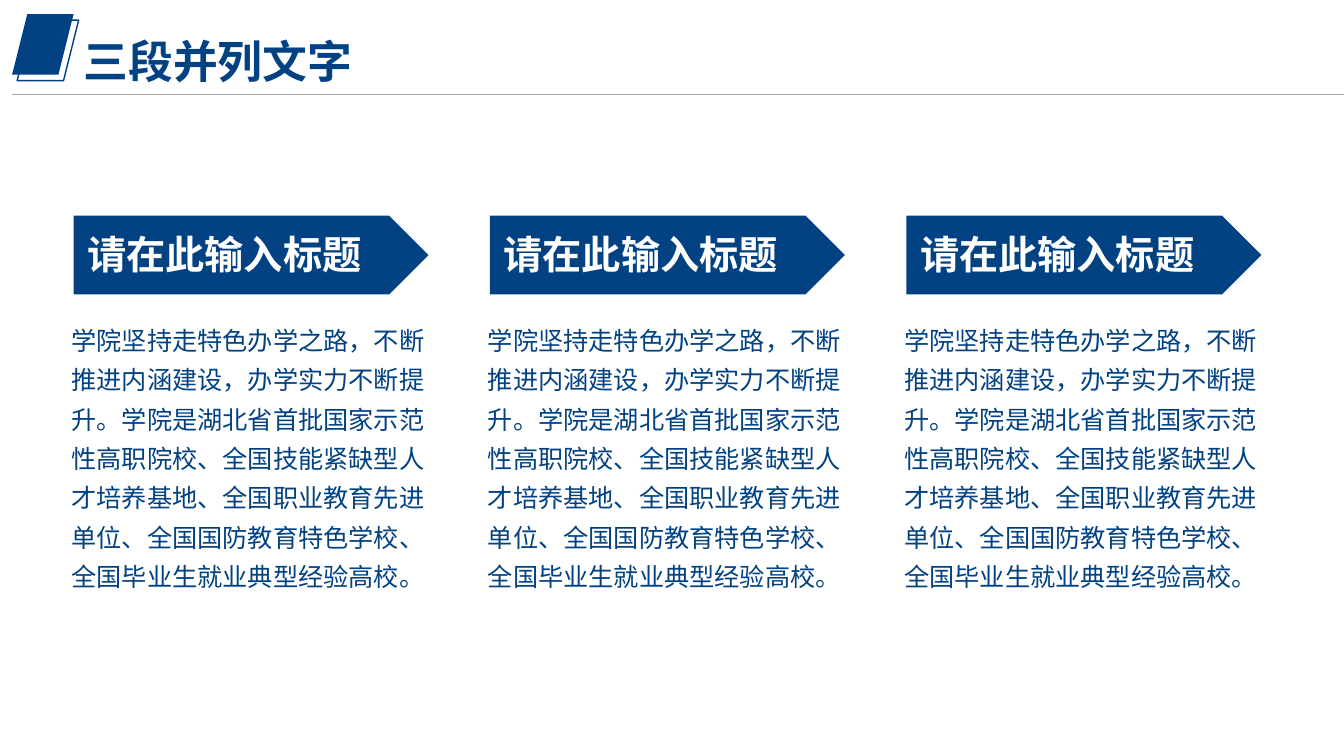
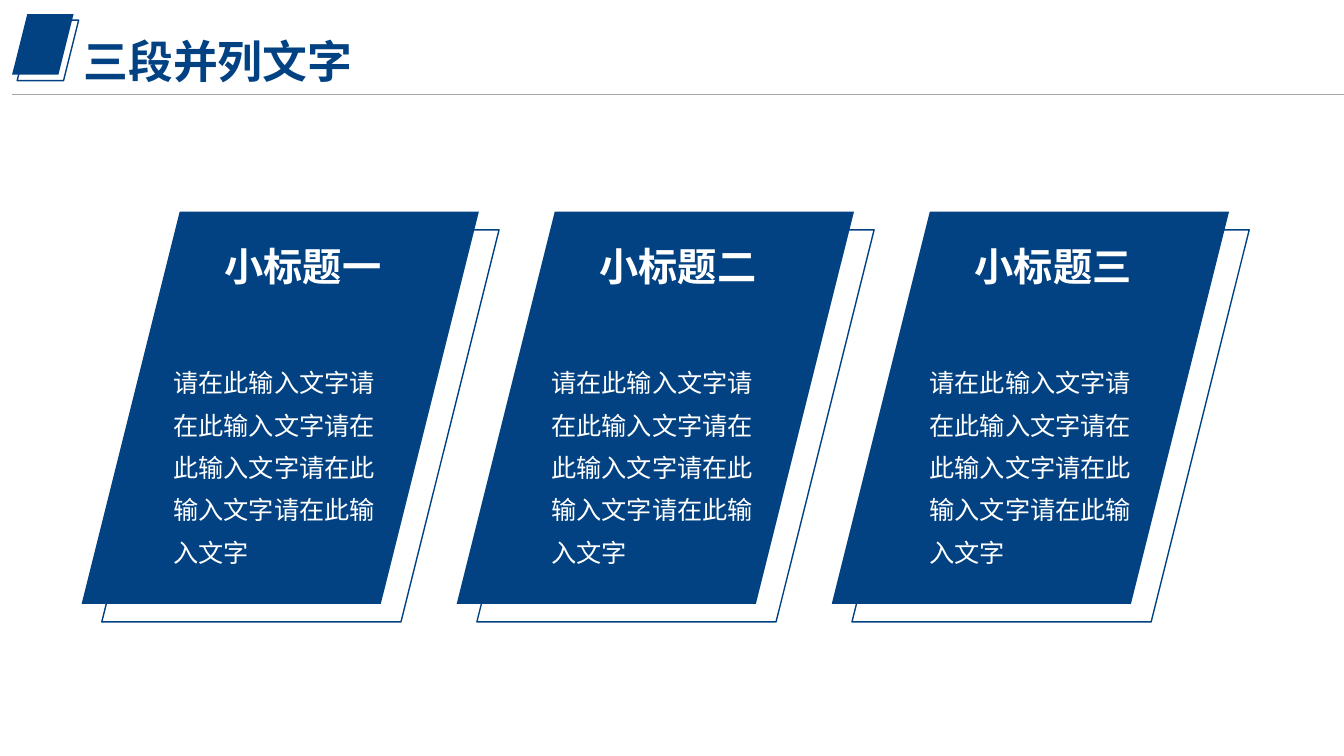
from lxml.etree import SubElement
from pptx import Presentation
from pptx.dml.color import RGBColor
from pptx.enum.shapes import MSO_CONNECTOR, MSO_SHAPE
from pptx.enum.text import MSO_ANCHOR, MSO_AUTO_SIZE, PP_ALIGN
from pptx.oxml.ns import qn
from pptx.util import Inches, Pt

NAVY = RGBColor(0x02, 0x42, 0x82)
WHITE = RGBColor(0xFF, 0xFF, 0xFF)
GREY = RGBColor(0xA6, 0xA6, 0xA6)
FONT = "Noto Sans CJK SC"

TITLE = "三段并列文字"
ARROW_HEADING = "请在此输入标题"
COLLEGE_INTRO = (
    "学院坚持走特色办学之路，不断推进内涵建设，办学实力不断提升。"
    "学院是湖北省首批国家示范性高职院校、全国技能紧缺型人才培养基地、"
    "全国职业教育先进单位、全国国防教育特色学校、全国毕业生就业典型经验高校。"
)
PANEL_HEADINGS = ["小标题一", "小标题二", "小标题三"]
PANEL_BODY = "请在此输入文字" * 5


class Deck:
    def __init__(self):
        self.presentation = Presentation()
        self.presentation.slide_width = Inches(13.33)
        self.presentation.slide_height = Inches(7.5)
        self.slide = None

    def add_slide(self, title):
        blank = self.presentation.slide_layouts[6]
        self.slide = self.presentation.slides.add_slide(blank)
        self.solid(MSO_SHAPE.PARALLELOGRAM, 0.12, 0.14, 0.61, 0.6)
        self.outline(MSO_SHAPE.PARALLELOGRAM, 0.17, 0.2, 0.61, 0.6)
        self.rule(0.12, 13.33, 0.94)
        self.text(title, 0.73, 0.35, 5.51, 0.67, size=32, bold=True, spacing=0.9)

    def shape(self, preset, left, top, width, height):
        shape = self.slide.shapes.add_shape(
            preset, Inches(left), Inches(top), Inches(width), Inches(height))
        shape.shadow.inherit = False
        return shape

    def solid(self, preset, left, top, width, height):
        shape = self.shape(preset, left, top, width, height)
        shape.fill.solid()
        shape.fill.fore_color.rgb = NAVY
        shape.line.fill.background()

    def outline(self, preset, left, top, width, height):
        shape = self.shape(preset, left, top, width, height)
        shape.fill.background()
        shape.line.color.rgb = NAVY
        shape.line.width = Pt(1)

    def rule(self, left, right, top):
        rule = self.slide.shapes.add_connector(
            MSO_CONNECTOR.STRAIGHT,
            Inches(left), Inches(top), Inches(right), Inches(top))
        rule.line.color.rgb = GREY
        rule.line.width = Pt(0.5)
        SubElement(rule._element.spPr, qn("a:effectLst"))

    def text(self, words, left, top, width, height, size=18, bold=False,
             color=NAVY, spacing=1.0, align=PP_ALIGN.LEFT):
        frame = self.slide.shapes.add_textbox(
            Inches(left), Inches(top), Inches(width), Inches(height)).text_frame
        paragraph = frame.paragraphs[0]
        run = paragraph.add_run()
        run.text = words
        run.font.color.rgb = color
        formats = {
            frame: {"word_wrap": True, "auto_size": MSO_AUTO_SIZE.NONE,
                    "vertical_anchor": MSO_ANCHOR.TOP},
            paragraph: {"line_spacing": spacing, "alignment": align},
            run.font: {"name": FONT, "size": Pt(size), "bold": bold},
        }
        for target, values in formats.items():
            for attribute, value in values.items():
                setattr(target, attribute, value)
        SubElement(run._r.get_or_add_rPr(), qn("a:ea"), typeface=FONT)

    def arrow_column(self, left, heading, body):
        self.text(body, left - 0.12, 3.09, 3.82, 2.82, spacing=1.3)
        self.solid(MSO_SHAPE.PENTAGON, left, 2.14, 3.52, 0.78)
        self.text(heading, left - 0.53, 2.24, 4.05, 0.57, size=28, bold=True,
                  color=WHITE, align=PP_ALIGN.CENTER)

    def slanted_panel(self, left, heading, body_left, body):
        self.outline(MSO_SHAPE.PARALLELOGRAM, left + 0.2, 2.28, 3.94, 3.89)
        self.solid(MSO_SHAPE.PARALLELOGRAM, left, 2.1, 3.94, 3.89)
        self.text(heading, left + 1.32, 2.35, 2.1, 0.57, size=28, bold=True,
                  color=WHITE)
        self.text(body, body_left, 3.48, 2.23, 2.6, color=WHITE, spacing=1.4)


def main():
    deck = Deck()

    deck.add_slide(TITLE)
    for column in range(3):
        deck.arrow_column(0.73 + 4.13 * column, ARROW_HEADING, COLLEGE_INTRO)

    deck.add_slide(TITLE)
    for column, heading in enumerate(PANEL_HEADINGS):
        deck.slanted_panel(0.81 + 3.72 * column, heading,
                           1.62 + 3.75 * column, PANEL_BODY)

    deck.presentation.save("out.pptx")


if __name__ == "__main__":
    main()
